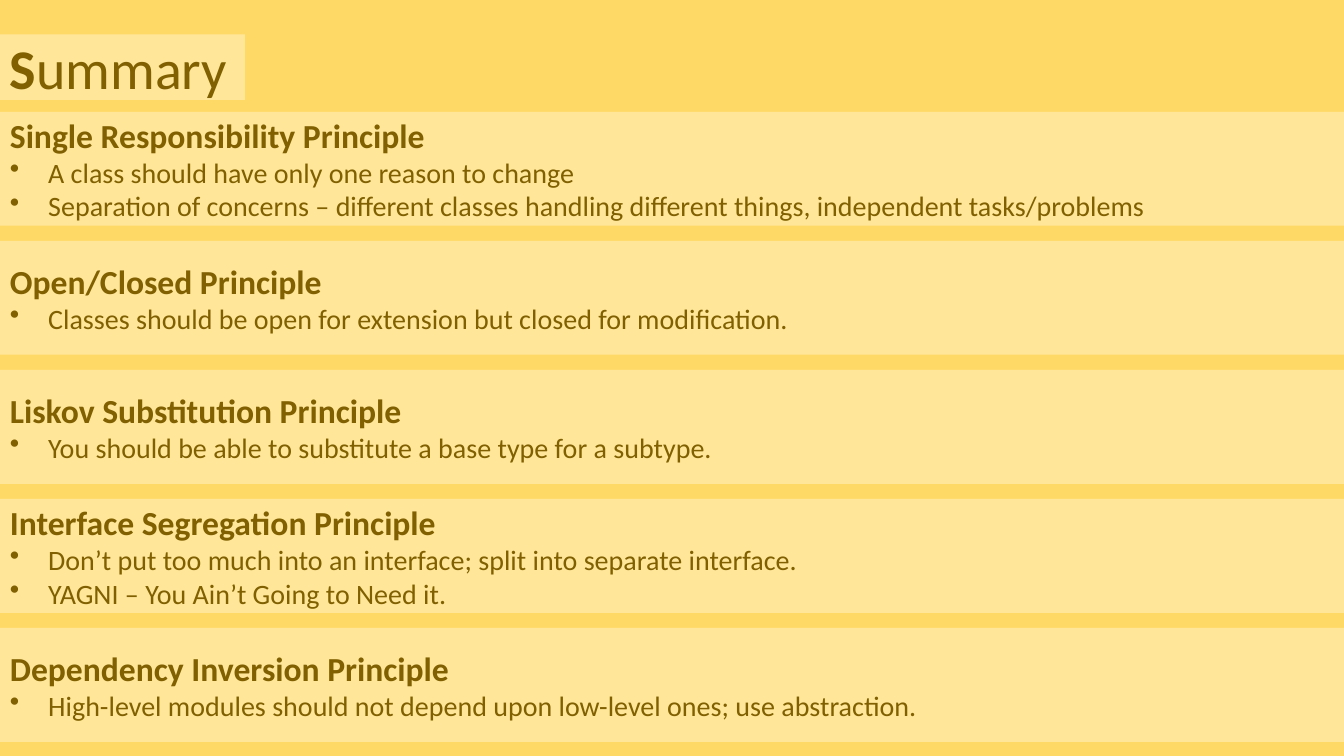
from dataclasses import dataclass

from lxml import etree
from pptx import Presentation
from pptx.dml.color import RGBColor
from pptx.enum.shapes import MSO_SHAPE
from pptx.enum.text import MSO_ANCHOR, PP_ALIGN
from pptx.oxml.ns import qn
from pptx.util import Inches, Pt

RECTANGLE = MSO_SHAPE.RECTANGLE
MIDDLE = MSO_ANCHOR.MIDDLE
LEFT = PP_ALIGN.LEFT


@dataclass(frozen=True)
class Theme:
    background: RGBColor = RGBColor(0xFF, 0xD9, 0x66)
    band: RGBColor = RGBColor(0xFF, 0xE6, 0x99)
    text: RGBColor = RGBColor(0x80, 0x60, 0x00)
    font: str = "Calibri"
    title_size: int = 40
    heading_size: int = 24
    body_size: int = 20
    bullet_indent: float = 0.38


THEME = Theme()
SLIDE_WIDTH, SLIDE_HEIGHT = 13.33, 7.5
TITLE_BOX = (0, 0.34, 2.43, 0.65)
FIRST_BAND_TOP, BAND_HEIGHT, BAND_PITCH = 1.11, 1.13, 1.28

PRINCIPLES = [
    ("Single Responsibility Principle", [
        "A class should have only one reason to change",
        "Separation of concerns – different classes handling different things, "
        "independent tasks/problems",
    ]),
    ("Open/Closed Principle", [
        "Classes should be open for extension but closed for modification.",
    ]),
    ("Liskov Substitution Principle", [
        "You should be able to substitute a base type for a subtype.",
    ]),
    ("Interface Segregation Principle", [
        "Don’t put too much into an interface; split into separate interface.",
        "YAGNI – You Ain’t Going to Need it.",
    ]),
    ("Dependency Inversion Principle", [
        "High-level modules should not depend upon low-level ones; use abstraction.",
    ]),
]


def add_panel(slide, box):
    """Add a plain filled rectangle and return its text frame."""
    shape = slide.shapes.add_shape(RECTANGLE, *(Inches(length) for length in box))
    shape.shadow.inherit = False
    shape.fill.solid()
    shape.fill.fore_color.rgb = THEME.band
    shape.line.fill.background()
    frame = shape.text_frame
    frame.word_wrap = True
    frame.vertical_anchor = MIDDLE
    frame.paragraphs[0].alignment = LEFT
    return frame


def add_run(paragraph, text, size, bold=False):
    run = paragraph.add_run()
    run.text = text
    run.font.name = THEME.font
    run.font.size = Pt(size)
    run.font.bold = bold
    run.font.color.rgb = THEME.text


def add_bullet(frame, text):
    paragraph = frame.add_paragraph()
    paragraph.alignment = LEFT
    properties = paragraph._p.get_or_add_pPr()
    indent = Inches(THEME.bullet_indent)
    properties.set("marL", str(indent))
    properties.set("indent", str(-indent))
    etree.SubElement(properties, qn("a:buChar")).set("char", "•")
    add_run(paragraph, text, THEME.body_size)


def add_title(slide, box):
    paragraph = add_panel(slide, box).paragraphs[0]
    add_run(paragraph, "S", THEME.title_size, bold=True)
    add_run(paragraph, "ummary", THEME.title_size)


def add_principle(slide, box, heading, points):
    frame = add_panel(slide, box)
    add_run(frame.paragraphs[0], heading, THEME.heading_size, bold=True)
    for point in points:
        add_bullet(frame, point)


def main():
    presentation = Presentation()
    presentation.slide_width = Inches(SLIDE_WIDTH)
    presentation.slide_height = Inches(SLIDE_HEIGHT)
    slide = presentation.slides.add_slide(presentation.slide_layouts[6])

    # Background
    slide.background.fill.solid()
    slide.background.fill.fore_color.rgb = THEME.background

    # Title, then one full-width band per principle
    add_title(slide, TITLE_BOX)
    for index, (heading, points) in enumerate(PRINCIPLES):
        top = FIRST_BAND_TOP + index * BAND_PITCH
        add_principle(slide, (0, top, SLIDE_WIDTH, BAND_HEIGHT), heading, points)

    presentation.save("out.pptx")


if __name__ == "__main__":
    main()
